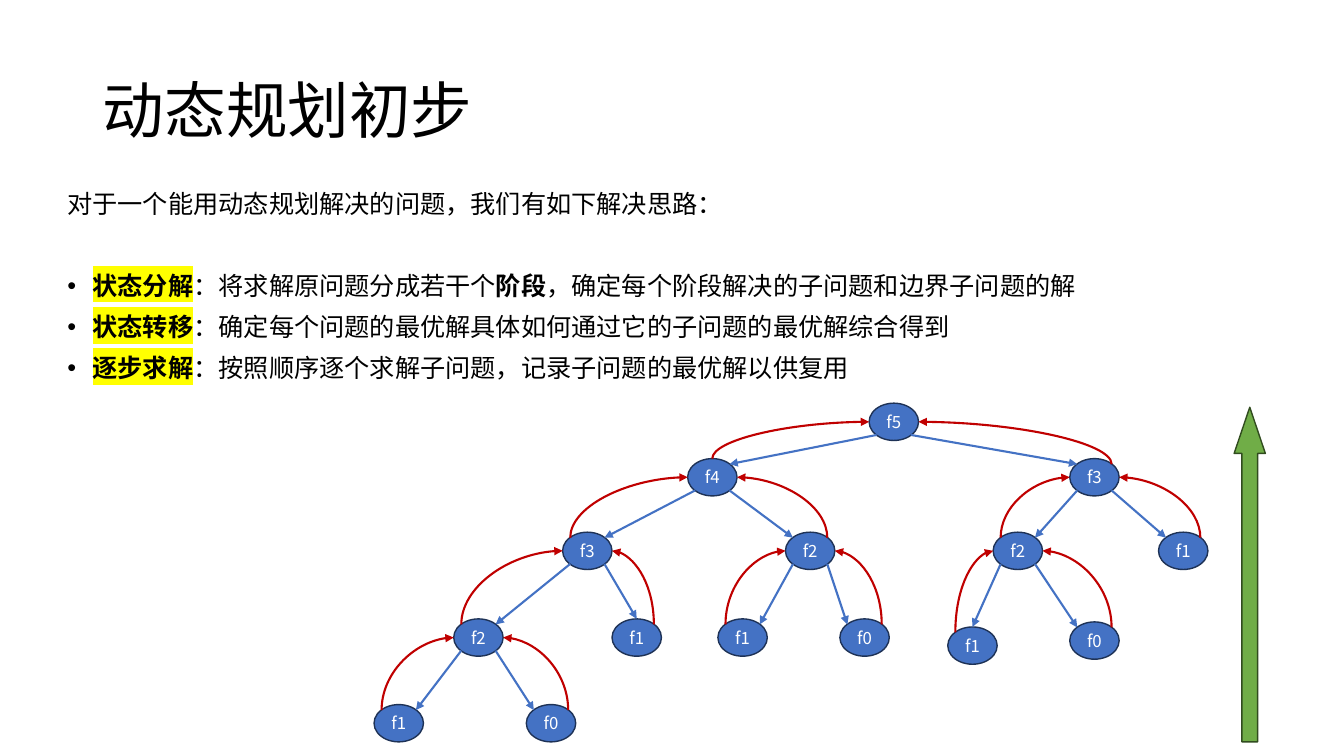
from dataclasses import dataclass

from lxml.etree import SubElement
from pptx import Presentation
from pptx.dml.color import RGBColor
from pptx.enum.shapes import MSO_CONNECTOR, MSO_SHAPE
from pptx.enum.text import MSO_ANCHOR, PP_ALIGN
from pptx.oxml import parse_xml
from pptx.oxml.ns import nsdecls, qn
from pptx.util import Inches, Pt


@dataclass(frozen=True)
class Theme:
    font: str = "Noto Sans CJK SC"
    black: RGBColor = RGBColor(0, 0, 0)
    white: RGBColor = RGBColor(255, 255, 255)
    blue: RGBColor = RGBColor(0x44, 0x72, 0xC4)
    navy: RGBColor = RGBColor(0x1E, 0x32, 0x56)
    red: RGBColor = RGBColor(0xC0, 0, 0)
    green: RGBColor = RGBColor(0x70, 0xAD, 0x47)
    dark_green: RGBColor = RGBColor(0x31, 0x4C, 0x1F)
    highlight: str = "FFFF00"
    title: Pt = Pt(44)
    body: Pt = Pt(18)
    node: Pt = Pt(12)


T = Theme()


def format_run(r, size, color):
    r.font.size, r.font.name = size, T.font
    r.font.color.rgb = color
    SubElement(r.font._element, qn("a:ea"), typeface=T.font)


def add_arrow(kind, start, end, color):
    c = s.shapes.add_connector(kind, *(Inches(v) for v in (*start, *end)))
    c.line.color.rgb = color
    c.line.width = Pt(1.5)
    SubElement(c.line._get_or_add_ln(), qn("a:tailEnd"), type="triangle")
    SubElement(c._element.spPr, qn("a:effectLst"))
    return c


prs = Presentation()
prs.slide_width, prs.slide_height = Inches(13.33), Inches(7.5)
s = prs.slides.add_slide(prs.slide_layouts[5])

# Title
title = s.shapes.title
title.left, title.top = Inches(0.92), Inches(0.4)
title.width, title.height = Inches(11.5), Inches(1.45)
tf = title.text_frame
tf.text = "动态规划初步"
tf.vertical_anchor = MSO_ANCHOR.MIDDLE
p = tf.paragraphs[0]
p.alignment, p.line_spacing = PP_ALIGN.LEFT, 0.9
format_run(p.runs[0], T.title, T.black)

# Intro and steps: each run is (text, style), bold or highlighted
paragraphs = [
    [("对于一个能用动态规划解决的问题，我们有如下解决思路：", "")],
    [("状态分解", "highlight"), ("：将求解原问题分成若干个", ""), ("阶段", "bold"),
     ("，确定每个阶段解决的子问题和边界子问题的解", "")],
    [("状态转移", "highlight"), ("：确定每个问题的最优解具体如何通过它的子问题的最优解综合得到", "")],
    [("逐步求解", "highlight"), ("：按照顺序逐个求解子问题，记录子问题的最优解以供复用", "")],
]
tf = s.shapes.add_textbox(Inches(0.57), Inches(1.85), Inches(11.5), Inches(4.76)).text_frame
tf.word_wrap = True
for i, runs in enumerate(paragraphs):
    p = tf.paragraphs[0] if i == 0 else tf.add_paragraph()
    p.line_spacing = 0.9
    p.space_before = Pt(39 if i == 1 else 10)
    if i > 0:
        pPr = p._p.get_or_add_pPr()
        pPr.set("marL", str(Inches(0.25)))
        pPr.set("indent", str(-Inches(0.25)))
        SubElement(pPr, qn("a:buFont"), typeface="Arial")
        SubElement(pPr, qn("a:buChar"), char="•")
    for text, style in runs:
        r = p.add_run()
        r.text = text
        format_run(r, T.body, T.black)
        r.font.bold = style != ""
        if style == "highlight":
            r.font._element.find(qn("a:solidFill")).addnext(parse_xml(
                f'<a:highlight {nsdecls("a")}><a:srgbClr val="{T.highlight}"/></a:highlight>'))

# Recursion tree: label, left, top, index of parent, side (-1 left, 1 right)
nodes = [
    ("f5", 8.62, 4.0, None, 0),
    ("f4", 6.82, 4.55, 0, -1),
    ("f3", 10.61, 4.55, 0, 1),
    ("f3", 5.58, 5.28, 1, -1),
    ("f2", 7.79, 5.28, 1, 1),
    ("f2", 9.85, 5.28, 2, -1),
    ("f1", 11.49, 5.28, 2, 1),
    ("f2", 4.5, 6.14, 3, -1),
    ("f1", 6.07, 6.14, 3, 1),
    ("f1", 7.12, 6.14, 4, -1),
    ("f0", 8.33, 6.14, 4, 1),
    ("f1", 9.4, 6.22, 5, -1),
    ("f0", 10.61, 6.17, 5, 1),
    ("f1", 3.71, 6.99, 7, -1),
    ("f0", 5.22, 6.99, 7, 1),
]
NODE_W, NODE_H = 0.49, 0.37
DIAG_X, DIAG_Y = 0.17, 0.13  # offset of the diagonal points on an ellipse
call_at_top = {8, 11}  # nodes whose call arrow ends at the top point
return_at_top = {1}  # nodes whose return arrow starts at the top point
centers = [(x + NODE_W / 2, y + NODE_H / 2) for _, x, y, _, _ in nodes]

for label, x, y, _, _ in nodes:
    sp = s.shapes.add_shape(MSO_SHAPE.OVAL, Inches(x), Inches(y), Inches(NODE_W), Inches(NODE_H))
    sp.shadow.inherit = False
    sp.fill.solid()
    sp.fill.fore_color.rgb = T.blue
    sp.line.color.rgb, sp.line.width = T.navy, Pt(1)
    tf = sp.text_frame
    tf.text = label
    tf.margin_left = tf.margin_right = tf.margin_top = tf.margin_bottom = 0
    tf.vertical_anchor, tf.word_wrap = MSO_ANCHOR.MIDDLE, False
    tf.paragraphs[0].alignment = PP_ALIGN.CENTER
    format_run(tf.paragraphs[0].runs[0], T.node, T.white)

# Call arrows, parent to child
for i, (_, _, _, parent, side) in enumerate(nodes[1:], 1):
    (px, py), (cx, cy) = centers[parent], centers[i]
    end = (cx, cy - NODE_H / 2) if i in call_at_top else (cx - side * DIAG_X, cy - DIAG_Y)
    add_arrow(MSO_CONNECTOR.STRAIGHT, (px + side * DIAG_X, py + DIAG_Y), end, T.blue)

# Return arrows, child up to parent: quarter curves turned by a right angle
for i, (_, _, _, parent, side) in enumerate(nodes[1:], 1):
    (px, py), (cx, cy) = centers[parent], centers[i]
    x0, y0 = (cx, cy - NODE_H / 2) if i in return_at_top else (cx + side * DIAG_X, cy - DIAG_Y)
    x1, y1 = px + side * NODE_W / 2, py
    mid_x, mid_y = (x0 + x1) / 2, (y0 + y1) / 2
    half_w, half_h = -side * (y0 - y1) / 2, abs(x1 - x0) / 2
    c = add_arrow(MSO_CONNECTOR.CURVE, (mid_x + half_w, mid_y + half_h),
                  (mid_x - half_w, mid_y - half_h), T.red)
    c._element.spPr.find(qn("a:prstGeom")).set("prst", "curvedConnector2")
    c._element.spPr.find(qn("a:xfrm")).set("rot", str((90 if side < 0 else 270) * 60000))

# Bottom-up direction arrow
sp = s.shapes.add_shape(MSO_SHAPE.DOWN_ARROW, Inches(12.24), Inches(4.04), Inches(0.31), Inches(3.32))
sp.rotation = 180
sp.adjustments[0], sp.adjustments[1] = 0.5, 1.48
sp.shadow.inherit = False
sp.fill.solid()
sp.fill.fore_color.rgb = T.green
sp.line.color.rgb, sp.line.width = T.dark_green, Pt(1)

prs.save("out.pptx")
